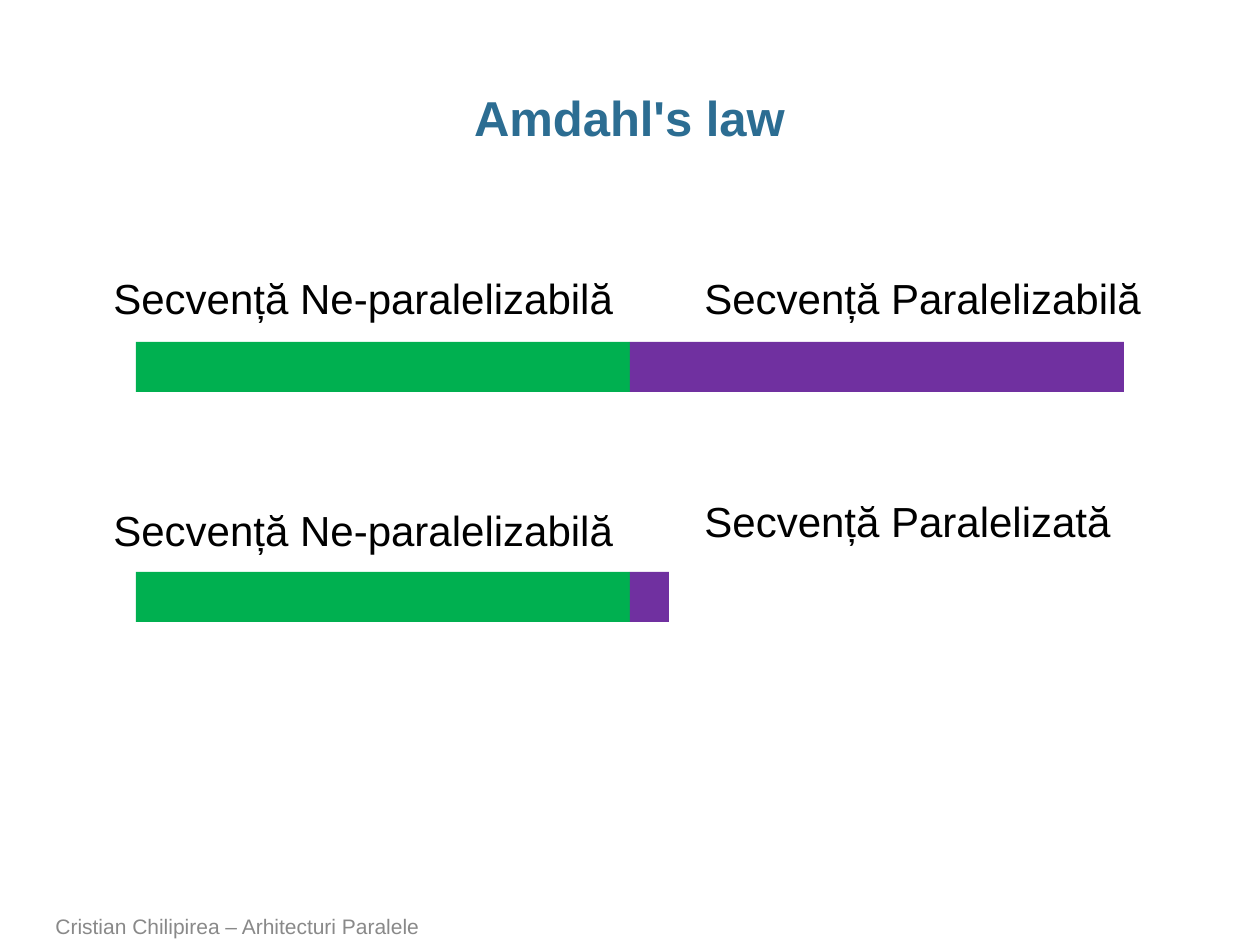
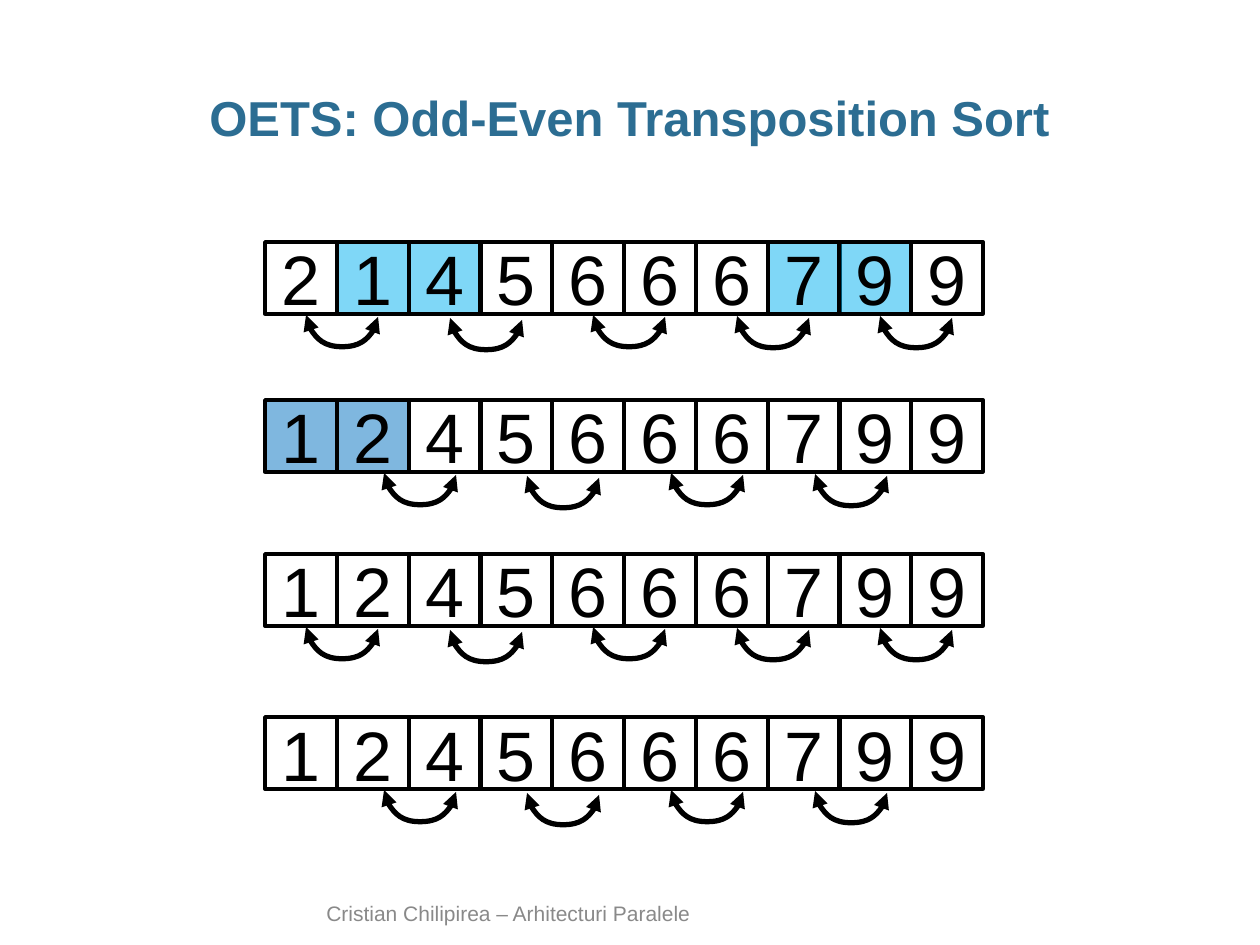
from lxml import etree
from pptx import Presentation
from pptx import util as u
from pptx.dml.color import RGBColor
from pptx.enum import shapes, text
from pptx.oxml.ns import qn

COLOURS = {
    "title": "2C6D92", "footer": "898989", "ink": "000000",
    "serial": "00B050", "parallel": "7030A0",
    "odd swap": "00B0F0", "even swap": "0070C0",
}
FONT = "Arial"
FOOTER = "Cristian Chilipirea – Arhitecturi Paralele"

AMDAHL = {
    "title": "Amdahl's law",
    "footer": (43, 910, 929, 35),
    "bars": [
        {"top": 342, "lengths": [("serial", 494), ("parallel", 494)],
         "labels": [("Secvență Ne-paralelizabilă", 101, 266, 530),
                    ("Secvență Paralelizabilă", 692, 266, 467)]},
        {"top": 572, "lengths": [("serial", 494), ("parallel", 39)],
         "labels": [("Secvență Ne-paralelizabilă", 101, 498, 530),
                    ("Secvență Paralelizată", 692, 489, 436)]},
    ],
}
OETS = {
    "title": "OETS: Odd-Even Transposition Sort",
    "footer": (314, 902, 632, 30),
    "phases": [
        (242, "2145666799", {1, 2, 7, 8}, "odd swap"),
        (400, "1245666799", {0, 1}, "even swap"),
        (554, "1245666799", set(), "odd swap"),
        (717, "1245666799", set(), "even swap"),
    ],
}

BAR_LEFT, BAR_HEIGHT, LABEL_HEIGHT = 136, 50, 63
ARRAY_LEFT, ARRAY_WIDTH, CELL = 265, 718, 72
SWAP_SHIFT = {"odd swap": 41, "even swap": 47}
SWAP_DROPS = [73, 76, 73, 74, 74]
SWAP_RISE, SWAP_DEPTH = 2, 32


def px(length):
    return u.Emu(round(length * 914400 / 126))


def rgb(name):
    return RGBColor.from_string(COLOURS[name])


def write(frame, words, size, colour, bold=False, align=None):
    frame.text = words
    line = frame.paragraphs[0]
    line.alignment = align
    font = line.runs[0].font
    font.name, font.size, font.bold = FONT, u.Pt(size), bold
    font.color.rgb = rgb(colour)
    return line


def add_words(slide, box, words, size, colour, wrap=True, **style):
    frame = slide.shapes.add_textbox(*map(px, box)).text_frame
    frame.word_wrap = wrap
    write(frame, words, size, colour, **style)
    return frame


def add_block(slide, box, fill=None):
    block = slide.shapes.add_shape(shapes.MSO_SHAPE.RECTANGLE, *map(px, box))
    block.shadow.inherit = False
    if fill:
        block.fill.solid()
        block.fill.fore_color.rgb = rgb(fill)
    else:
        block.fill.background()
    return block


def start_slide(deck, content):
    slide = deck.slides.add_slide(deck.slide_layouts[6])
    title = add_words(slide, (43, 86, 1173, 63), content["title"], 28, "title",
                      bold=True, align=text.PP_ALIGN.CENTER)
    title.margin_left = title.margin_right = 0
    title.paragraphs[0].line_spacing = 0.95
    footer = add_words(slide, content["footer"], FOOTER, 12, "footer")
    footer.vertical_anchor = text.MSO_ANCHOR.BOTTOM
    return slide


def add_cell(slide, left, top, digit, fill):
    cell = add_block(slide, (left, top, CELL, CELL), fill)
    if fill:
        tint = cell._element.spPr.find(qn("a:solidFill"))[0]
        etree.SubElement(tint, qn("a:alpha"), val="50000")
    cell.line.color.rgb = rgb("ink")
    cell.line.width = u.Pt(2)
    cell.text_frame.vertical_anchor = text.MSO_ANCHOR.MIDDLE
    write(cell.text_frame, digit, 40, "ink", align=text.PP_ALIGN.CENTER)


def add_swap(slide, left, top):
    middle_x, middle_y = left + CELL / 2, top + SWAP_RISE / 2
    swap = slide.shapes.add_connector(
        shapes.MSO_CONNECTOR.CURVE,
        px(middle_x + SWAP_RISE / 2), px(middle_y - CELL / 2),
        px(middle_x - SWAP_RISE / 2), px(middle_y + CELL / 2))
    swap.line.color.rgb = rgb("ink")
    swap.line.width = u.Pt(3)
    props = swap._element.spPr
    props.find(qn("a:xfrm")).set("rot", "16200000")
    bends = props.find(qn("a:prstGeom")).find(qn("a:avLst"))
    etree.SubElement(bends, qn("a:gd"), name="adj1",
                     fmla=f"val {SWAP_DEPTH * 100000 // SWAP_RISE}")
    for end in ("a:headEnd", "a:tailEnd"):
        etree.SubElement(props.find(qn("a:ln")), qn(end), type="triangle")
    etree.SubElement(props, qn("a:effectLst"))


def build_amdahl(deck):
    slide = start_slide(deck, AMDAHL)
    for bar in AMDAHL["bars"]:
        left = BAR_LEFT
        for part, length in bar["lengths"]:
            block = add_block(slide, (left, bar["top"], length, BAR_HEIGHT), part)
            block.line.fill.background()
            left += length
        for words, x, y, width in bar["labels"]:
            label = add_words(slide, (x, y, width, LABEL_HEIGHT), words, 24, "ink",
                              wrap=False)
            label.auto_size = text.MSO_AUTO_SIZE.SHAPE_TO_FIT_TEXT


def build_oets(deck):
    slide = start_slide(deck, OETS)
    for top, digits, swapped, phase in OETS["phases"]:
        pitch = ARRAY_WIDTH / len(digits)
        lefts = [round(ARRAY_LEFT + i * pitch) for i in range(len(digits))]
        for i, digit in enumerate(digits):
            add_cell(slide, lefts[i], top, digit, phase if i in swapped else None)
        first = 0 if phase == "odd swap" else 1
        for left, drop in zip(lefts[first:-1:2], SWAP_DROPS):
            add_swap(slide, left + SWAP_SHIFT[phase], top + drop)


def main():
    deck = Presentation()
    deck.slide_width, deck.slide_height = px(1260), px(945)
    build_amdahl(deck)
    build_oets(deck)
    deck.save("out.pptx")


if __name__ == "__main__":
    main()
